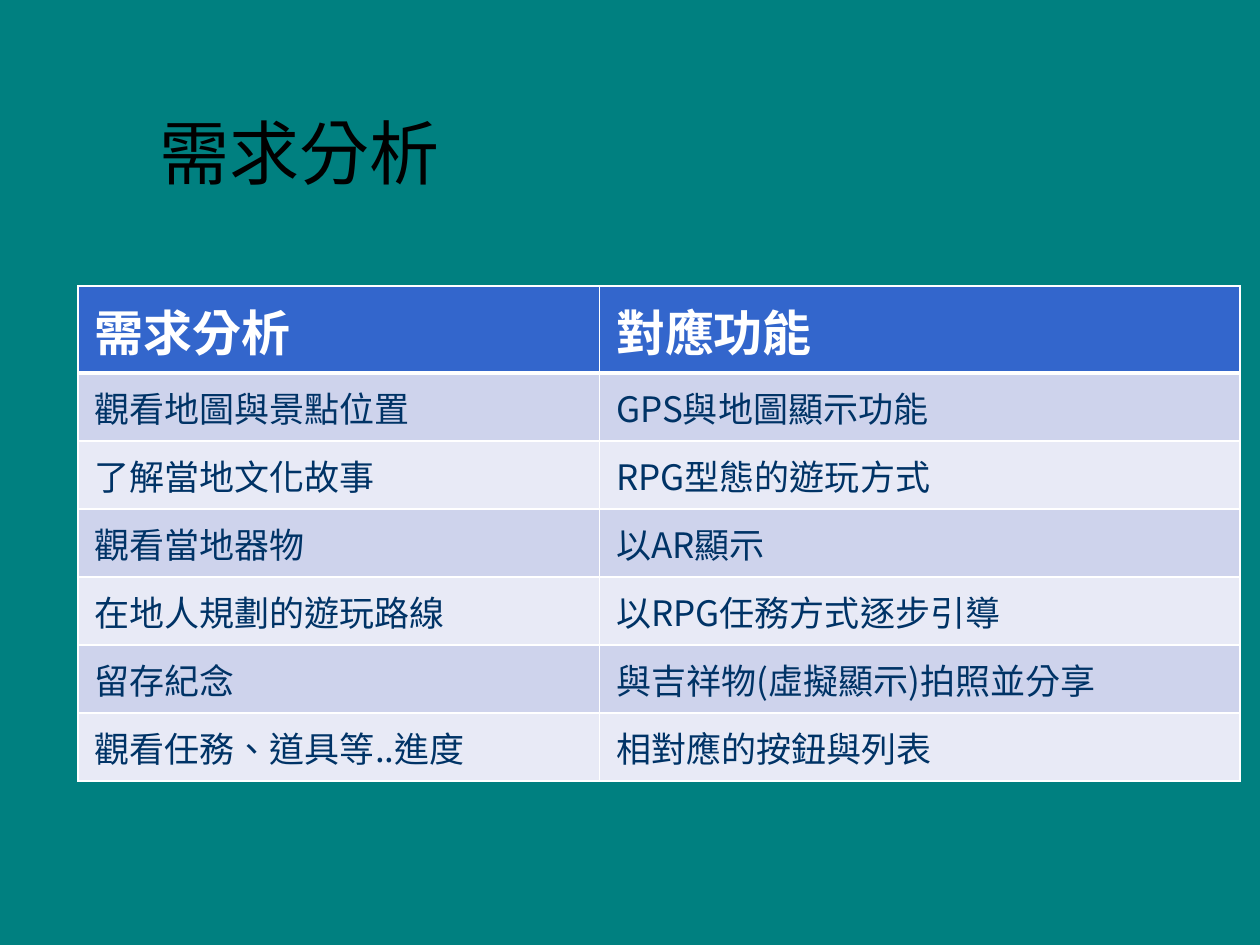
from pptx import Presentation
from pptx.dml.color import RGBColor
from pptx.enum.text import MSO_ANCHOR
from pptx.oxml import parse_xml
from pptx.oxml.ns import nsdecls
from pptx.util import Inches, Pt

# Content
TITLE = "需求分析"
ROWS = [
    ("需求分析", "對應功能"),
    ("觀看地圖與景點位置", "GPS與地圖顯示功能"),
    ("了解當地文化故事", "RPG型態的遊玩方式"),
    ("觀看當地器物", "以AR顯示"),
    ("在地人規劃的遊玩路線", "以RPG任務方式逐步引導"),
    ("留存紀念", "與吉祥物(虛擬顯示)拍照並分享"),
    ("觀看任務、道具等..進度", "相對應的按鈕與列表"),
]

# Theme and layout
THEME = {
    "font": "Noto Sans CJK SC",
    "back": "008080",
    "line": "FFFFFF",
    "head": "3366CC",
    "bands": ("CED3EC", "E8EAF6"),
    "title": {"size": 40, "color": "000000", "bold": False},
    "top": {"size": 28, "color": "FFFFFF", "bold": True},
    "body": {"size": 20, "color": "003366", "bold": False},
}
COLS = (4.14, 5.08)
HEAD_H, ROW_H = 0.69, 0.54
PAD = {"margin_left": 0.13, "margin_right": 0.13,
       "margin_top": 0.07, "margin_bottom": 0.07}


def paint(fill, color):
    fill.solid()
    fill.fore_color.rgb = RGBColor.from_string(color)


def write(frame, text, style):
    """Put one styled run in a text frame and return its paragraph."""
    para = frame.paragraphs[0]
    run = para.add_run()
    run.text = text
    font = run.font
    look = {"name": THEME["font"], "size": Pt(style["size"]),
            "bold": style["bold"]}
    for key, value in look.items():
        setattr(font, key, value)
    font.color.rgb = RGBColor.from_string(style["color"])
    props = run._r.get_or_add_rPr()
    props.set("lang", "zh-TW")
    props.append(parse_xml(
        f'<a:ea {nsdecls("a")} typeface="{THEME["font"]}"/>'))
    return para


def edge(cell, side, width):
    cell._tc.get_or_add_tcPr().append(parse_xml(
        f'<a:ln{side} {nsdecls("a")} w="{Pt(width)}"><a:solidFill>'
        f'<a:srgbClr val="{THEME["line"]}"/></a:solidFill></a:ln{side}>'))


def main():
    deck = Presentation()
    deck.slide_width, deck.slide_height = Inches(10), Inches(7.5)
    slide = deck.slides.add_slide(deck.slide_layouts[6])
    paint(slide.background.fill, THEME["back"])

    # Title
    box = slide.shapes.add_textbox(*map(Inches, (1.17, 0.3, 8.58, 1.28)))
    frame = box.text_frame
    frame.word_wrap = True
    frame.vertical_anchor = MSO_ANCHOR.BOTTOM
    write(frame, TITLE, THEME["title"]).line_spacing = 0.8

    # Table grid
    highs = [HEAD_H] + [ROW_H] * (len(ROWS) - 1)
    area = map(Inches, (0.62, 2.27, sum(COLS), sum(highs)))
    table = slide.shapes.add_table(len(ROWS), len(COLS), *area).table
    for col, width in zip(table.columns, COLS):
        col.width = Inches(width)
    for row, high in zip(table.rows, highs):
        row.height = Inches(high)

    # Table cells
    for r, row in enumerate(ROWS):
        style = THEME["body" if r else "top"]
        color = THEME["bands"][(r - 1) % 2] if r else THEME["head"]
        for c, text in enumerate(row):
            cell = table.cell(r, c)
            for key, value in PAD.items():
                setattr(cell, key, Inches(value))
            for side in "LRTB":
                thick = (r, side) in ((0, "B"), (1, "T"))
                edge(cell, side, 3 if thick else 1)
            paint(cell.fill, color)
            write(cell.text_frame, text, style)

    deck.save("out.pptx")


if __name__ == "__main__":
    main()
